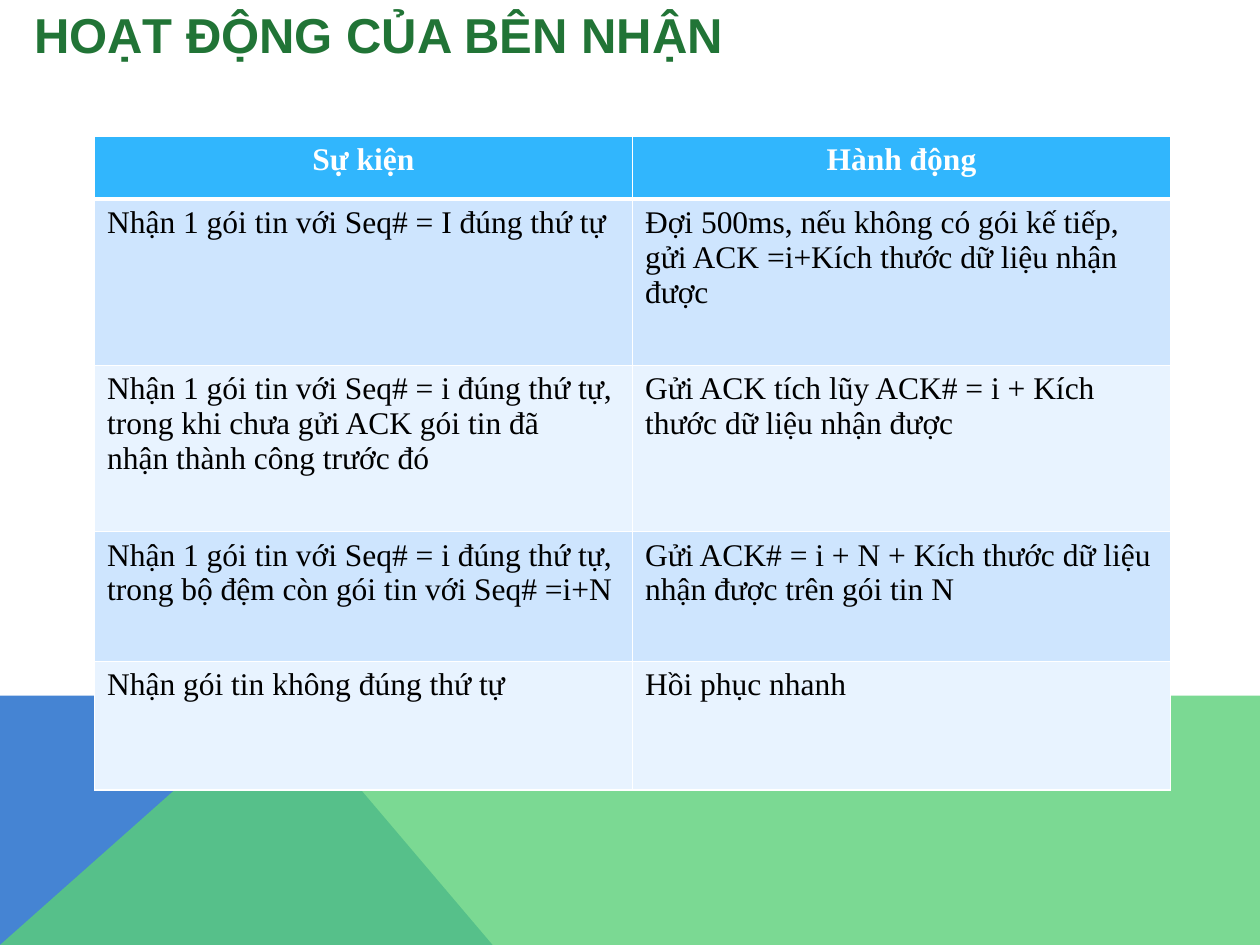
import pptx
import pptx.dml.color
import pptx.enum.text
import pptx.oxml
import pptx.oxml.ns
import pptx.util
from pptx.util import Inches

COLORS = {
    "title": "217436", "blue": "4584D3", "green": "5BD078",
    "header": "31B6FD", "band_dark": "CEE5FE", "band_light": "E8F3FF",
    "white": "FFFFFF", "black": "000000",
}
ROWS = [
    (0.5, ["Sự kiện"], ["Hành động"]),
    (1.32, ["Nhận 1 gói tin với Seq# = I đúng thứ tự"],
     ["Đợi 500ms, nếu không có gói kế tiếp, gửi ACK =i+Kích thước dữ liệu nhận",
      "được"]),
    (1.32, ["Nhận 1 gói tin với Seq# = i đúng thứ tự, trong khi chưa gửi ACK gói tin đã",
            "nhận thành công trước đó"],
     ["Gửi ACK tích lũy ACK# = i + Kích thước dữ liệu nhận được"]),
    (1.03, ["Nhận 1 gói tin với Seq# = i đúng thứ tự, trong bộ đệm còn gói tin với Seq# =i+N"],
     ["Gửi ACK# = i + N + Kích thước dữ liệu nhận được trên gói tin N"]),
    (1.02, ["Nhận gói tin không đúng thứ tự"], ["Hồi phục nhanh"]),
]


def rgb(name):
    return pptx.dml.color.RGBColor.from_string(COLORS[name])


def add_run(p, text, font, size, color, bold):
    r = p.add_run()
    r.text = text
    r.font.name = font
    r.font.size = pptx.util.Pt(size)
    r.font.bold = bold
    r.font.color.rgb = rgb(color)


def add_polygon(s, points, color, alpha=None):
    """Draw a borderless polygon; alpha is opacity in percent."""
    corners = [(Inches(x), Inches(y)) for x, y in points]
    builder = s.shapes.build_freeform(*corners[0], scale=1.0)
    builder.add_line_segments(corners[1:], close=True)
    sp = builder.convert_to_shape()
    sp.shadow.inherit = False
    sp.line.fill.background()
    sp.fill.solid()
    sp.fill.fore_color.rgb = rgb(color)
    if alpha is not None:
        clr = sp._element.spPr.find(".//" + pptx.oxml.ns.qn("a:srgbClr"))
        clr.append(pptx.oxml.parse_xml(
            f'<a:alpha {pptx.oxml.ns.nsdecls("a")} val="{alpha * 1000}"/>'))


def add_footer_art(s, x, y, w, h):
    peak, foot = x + 2.23, x + 3.91
    bottom = y + h
    add_polygon(s, [(x, bottom), (x, y), (peak, y), (foot, bottom)], "blue")
    add_polygon(s, [(x, bottom), (peak, y), (x + w, y), (x + w, bottom)], "green", 80)


def add_title(s, x, y, w, h):
    sp = s.shapes.title
    sp.left, sp.top, sp.width, sp.height = map(Inches, (x, y, w, h))
    tf = sp.text_frame
    tf.word_wrap = True
    tf.auto_size = pptx.enum.text.MSO_AUTO_SIZE.NONE
    tf.vertical_anchor = pptx.enum.text.MSO_ANCHOR.MIDDLE
    p = tf.paragraphs[0]
    p.alignment = pptx.enum.text.PP_ALIGN.LEFT
    add_run(p, "HOẠT ĐỘNG CỦA BÊN NHẬN", "Arial", 28, "title", True)


def set_borders(cell, widths):
    """Give white borders, in points, in the order left, right, top, bottom."""
    tcPr = cell._tc.get_or_add_tcPr()
    for i, (side, width) in enumerate(zip("LRTB", widths)):
        tcPr.insert(i, pptx.oxml.parse_xml(
            f'<a:ln{side} {pptx.oxml.ns.nsdecls("a")} w="{pptx.util.Pt(width)}">'
            f'<a:solidFill><a:srgbClr val="{COLORS["white"]}"/></a:solidFill>'
            f'</a:ln{side}>'))


def fill_cell(cell, paragraphs, row):
    header = row == 0
    cell.fill.solid()
    cell.fill.fore_color.rgb = rgb(
        "header" if header else "band_dark" if row % 2 else "band_light")
    set_borders(cell, (1, 1, 3 if row == 1 else 1, 3 if header else 1))
    tf = cell.text_frame
    for i, text in enumerate(paragraphs):
        p = tf.add_paragraph() if i else tf.paragraphs[0]
        if header:
            p.alignment = pptx.enum.text.PP_ALIGN.CENTER
        add_run(p, text, "Times New Roman", 18, "white" if header else "black", header)


def add_event_table(s, x, y, w, h):
    table = s.shapes.add_table(len(ROWS), 2, *map(Inches, (x, y, w, h))).table
    for column in table.columns:
        column.width = Inches(w / 2)
    for i, (height, *cells) in enumerate(ROWS):
        table.rows[i].height = Inches(height)
        for j, paragraphs in enumerate(cells):
            fill_cell(table.cell(i, j), paragraphs, i)


def main():
    prs = pptx.Presentation()
    prs.slide_width, prs.slide_height = Inches(10), Inches(7.5)
    s = prs.slides.add_slide(prs.slide_layouts[5])
    add_footer_art(s, 0, 5.52, 10, 1.98)
    add_title(s, 0.17, -0.03, 9.5, 0.6)
    add_event_table(s, 0.75, 1.08, 8.54, 5.19)
    prs.save("out.pptx")


if __name__ == "__main__":
    main()
